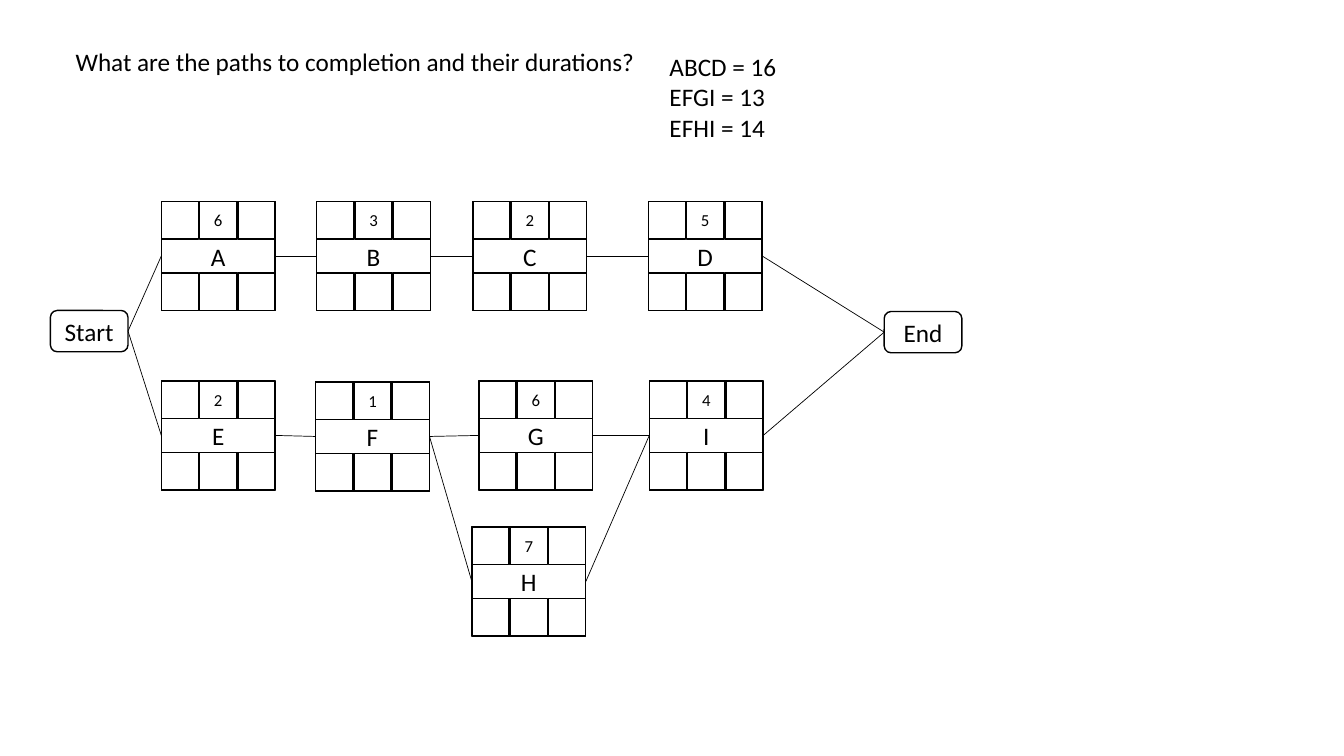
from lxml import etree
from pptx import Presentation
from pptx.dml.color import RGBColor
from pptx.enum.shapes import MSO_CONNECTOR, MSO_SHAPE
from pptx.enum.text import MSO_ANCHOR, MSO_AUTO_SIZE, PP_ALIGN
from pptx.oxml.ns import qn
from pptx.util import Inches, Pt

RECT, ROUNDED = MSO_SHAPE.RECTANGLE, MSO_SHAPE.ROUNDED_RECTANGLE
STRAIGHT = MSO_CONNECTOR.STRAIGHT
LEFT, CENTER = PP_ALIGN.LEFT, PP_ALIGN.CENTER
TOP, MIDDLE = MSO_ANCHOR.TOP, MSO_ANCHOR.MIDDLE
NO_AUTOFIT = MSO_AUTO_SIZE.NONE
COLORS = {"ink": "000000", "paper": "FFFFFF"}
LEFT_SITE, RIGHT_SITE = 1, 3
CELL, PITCH = 0.37, 0.38
BOX_WIDTH, BOX_HEIGHT = 1.13, 1.08


def color(name):
    return RGBColor.from_string(COLORS[name])


def write(shape, text, size=18, align=CENTER, anchor=MIDDLE, inset=(0, 0), wrap=True):
    frame = shape.text_frame
    frame.text = text
    frame.auto_size = NO_AUTOFIT
    frame.word_wrap = wrap
    frame.vertical_anchor = anchor
    frame.margin_left = frame.margin_right = Inches(inset[0])
    frame.margin_top = frame.margin_bottom = Inches(inset[1])
    for paragraph in frame.paragraphs:
        paragraph.alignment = align
        paragraph.space_before = paragraph.space_after = Pt(0)
        paragraph.line_spacing = 1.0
        for run in paragraph.runs:
            run.font.name = "Calibri"
            run.font.size = Pt(size)
            run.font.color.rgb = color("ink")


class NetworkSlide:
    """Draws an activity network on one slide in a single style."""

    def __init__(self, slide):
        self.slide = slide

    def placeholder(self, holder, text, left, top, width, height):
        holder.left, holder.top = Inches(left), Inches(top)
        holder.width, holder.height = Inches(width), Inches(height)
        write(holder, text, align=LEFT, anchor=TOP, inset=(0.1, 0.05), wrap=False)
        for paragraph in holder.text_frame.paragraphs:
            properties = paragraph._p.get_or_add_pPr()
            properties.set("marL", "0")
            properties.set("indent", "0")
            etree.SubElement(properties, qn("a:buNone"))

    def box(self, left, top, width, height, text="", size=18, kind=RECT, filled=False):
        shape = self.slide.shapes.add_shape(
            kind, Inches(left), Inches(top), Inches(width), Inches(height))
        shape.shadow.inherit = False
        if filled:
            shape.fill.solid()
            shape.fill.fore_color.rgb = color("paper")
        else:
            shape.fill.background()
        shape.line.color.rgb = color("ink")
        shape.line.width = Pt(1)
        if text:
            write(shape, text, size)
        return shape

    def terminal(self, left, top, text):
        return self.box(left, top, 0.77, 0.41, text, kind=ROUNDED)

    def activity(self, left, top, name, duration):
        outline = self.box(left, top, BOX_WIDTH, BOX_HEIGHT, name)
        for row_top, labels in ((top, ("", duration, "")),
                                (top + BOX_HEIGHT - CELL, ("", "", ""))):
            for column, label in enumerate(labels):
                self.box(left + column * PITCH, row_top, CELL, CELL, label, 12, filled=True)
        return outline

    def link(self, before, after):
        line = self.slide.shapes.add_connector(STRAIGHT, 0, 0, 0, 0)
        line.begin_connect(before, RIGHT_SITE)
        line.end_connect(after, LEFT_SITE)
        line.line.color.rgb = color("ink")
        line.line.width = Pt(0.5)
        etree.SubElement(line._element.spPr, qn("a:effectLst"))


ACTIVITIES = {
    "A": (1.6, 2, "6"), "B": (3.14, 2, "3"), "C": (4.69, 2, "2"), "D": (6.43, 2, "5"),
    "E": (1.6, 3.78, "2"), "F": (3.13, 3.79, "1"), "G": (4.75, 3.78, "6"),
    "H": (4.68, 5.23, "7"), "I": (6.44, 3.78, "4"),
}
LINKS = ("Start A", "A B", "B C", "C D", "D End", "Start E", "E F",
         "F G", "G I", "F H", "H I", "I End")

deck = Presentation()
deck.slide_width, deck.slide_height = Inches(13.33), Inches(7.5)
network = NetworkSlide(deck.slides.add_slide(deck.slide_layouts[1]))
question, answers = network.slide.placeholders
network.placeholder(question, "What are the paths to completion and their durations?",
                    0.65, 0.41, 5.81, 0.4)
network.placeholder(answers, "ABCD = 16\nEFGI = 13\nEFHI = 14", 6.54, 0.46, 1.27, 1.01)

nodes = {"Start": network.terminal(0.5, 3.08, "Start"),
         "End": network.terminal(8.77, 3.09, "End")}
for name, (left, top, duration) in ACTIVITIES.items():
    nodes[name] = network.activity(left, top, name, duration)
for pair in LINKS:
    before, after = pair.split()
    network.link(nodes[before], nodes[after])

deck.save("out.pptx")
